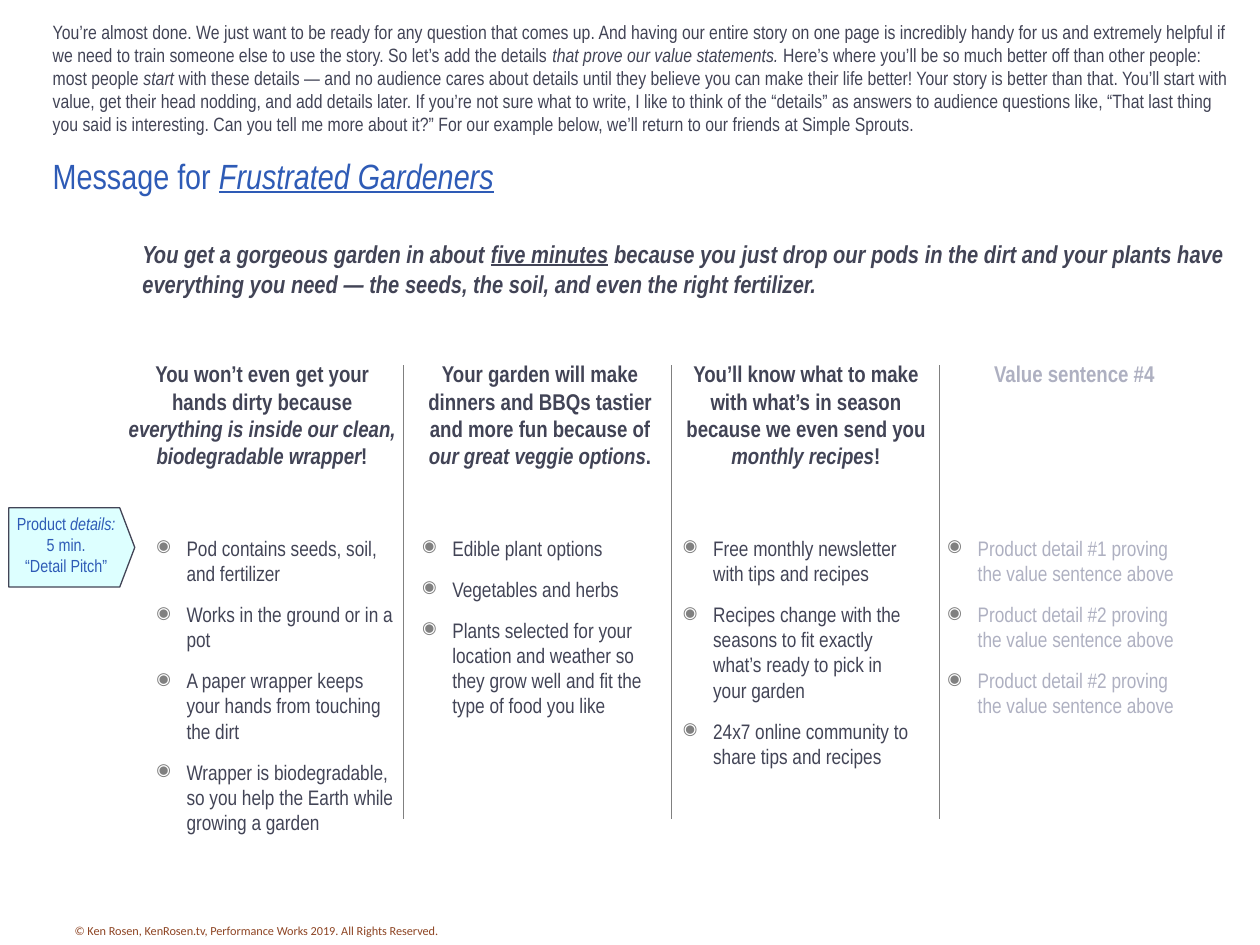
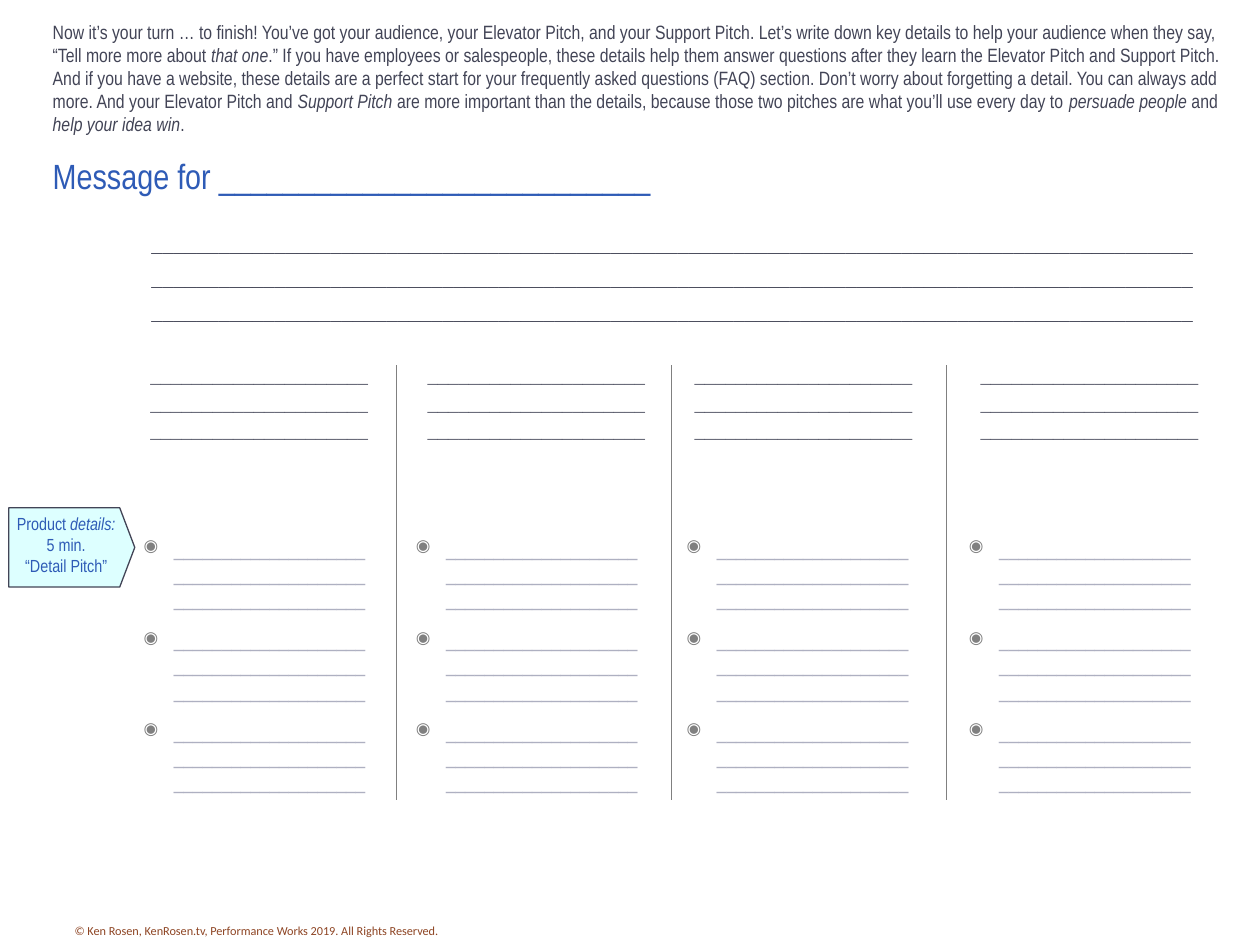
from copy import deepcopy
from dataclasses import dataclass

from lxml import etree
from pptx import Presentation
from pptx.dml.color import RGBColor
from pptx.enum.shapes import MSO_CONNECTOR, MSO_SHAPE
from pptx.enum.text import MSO_ANCHOR, PP_ALIGN
from pptx.oxml.ns import qn
from pptx.util import Inches, Pt

LEFT, CENTER = PP_ALIGN.LEFT, PP_ALIGN.CENTER
TOP, MIDDLE = MSO_ANCHOR.TOP, MSO_ANCHOR.MIDDLE
STRAIGHT, PENTAGON = MSO_CONNECTOR.STRAIGHT, MSO_SHAPE.PENTAGON


@dataclass(frozen=True)
class Theme:
    ink: str = "424456"
    faded: str = "AEB0C1"
    blue: str = "2E5BB6"
    brown: str = "8E4524"
    gray: str = "808080"
    aqua: str = "DDFFFF"
    body: str = "Arial Narrow"
    small: str = "Calibri"
    footer_size: int = 7
    tag_size: int = 10
    intro_size: int = 11
    detail_size: int = 12
    value_size: int = 13
    headline_size: int = 14
    title_size: int = 20


T = Theme()
ITALIC = {"italic": True}
UNDERLINE = {"underline": True}

ROLES = {
    "footer": dict(color=T.brown, font=dict(name=T.small, size=Pt(T.footer_size)),
                   align=CENTER, wrap=False, inset=0.1),
    "title": dict(color=T.blue, font=dict(size=Pt(T.title_size)),
                  emphasis={**ITALIC, **UNDERLINE}, anchor=MIDDLE, inset=0.1),
    "intro": dict(font=dict(size=Pt(T.intro_size)), inset=0.1),
    "headline": dict(font=dict(size=Pt(T.headline_size), bold=True, italic=True), emphasis=UNDERLINE, after=2.8),
    "value": dict(font=dict(size=Pt(T.value_size), bold=True), align=CENTER),
    "details": dict(font=dict(size=Pt(T.detail_size)), before=9, bullet="◉"),
    "tag": dict(color=T.blue, font=dict(size=Pt(T.tag_size)), align=CENTER, wrap=False, inset=0.1),
}

FOOTER = "© Ken Rosen, KenRosen.tv, Performance Works 2019. All Rights Reserved."
TAG = "Product *details:\n*5 min.\n“Detail Pitch”"
BLANK_VALUE = ["_" * 21] * 3
BLANK_DETAILS = ["\n".join(["_" * 20] * 3)] * 3

SLIDES = [
    {
        "title": "Message for *Frustrated Gardeners*",
        "intro": [
            "You’re almost done. We just want to be ready for any question that comes up.",
            "And having our entire story on one page is incredibly handy for us and extremely helpful if",
            "we need to train someone else to use the story.",
            "So let’s add the details *that prove our value statements.*",
            "Here’s where you’ll be so much better off than other people:",
            "most people *start* with these details — and no audience cares about details",
            "until they believe you can make their life better! Your story is better than that.",
            "You’ll start with value, get their head nodding, and add details later.",
            "If you’re not sure what to write, I like to think of the “details” as answers to audience",
            "questions like, “That last thing you said is interesting. Can you tell me more about it?”",
            "For our example below, we’ll return to our friends at Simple Sprouts.",
        ],
        "headline": ["You get a gorgeous garden in about *five minutes* because you just drop our pods in the dirt "
                     "and your plants have everything you need — the seeds, the soil, and even the right fertilizer."],
        "headline_box": (1.04, 1.85, 8.77, 0.57),
        "dividers": {"first": 3.2, "gap": 2.13, "bottom": 6.5},
        "value_boxes": [(0.91, 2.34), (3.21, 2.15), (5.34, 2.11), (7.47, 2.11)],
        "detail_boxes": [(1.15, 2.08), (3.26, 2.03), (5.33, 2.03), (7.43, 2.03)],
        "columns": [
            (["You won’t even get your hands dirty because *everything is inside our clean, biodegradable wrapper*!"],
             ["Pod contains seeds, soil, and fertilizer",
              "Works in the ground or in a pot",
              "A paper wrapper keeps your hands from touching the dirt",
              "Wrapper is biodegradable, so you help the Earth while growing a garden"], T.ink, T.ink),
            (["Your garden will make dinners and BBQs tastier and more fun because of *our great veggie options*."],
             ["Edible plant options",
              "Vegetables and herbs",
              "Plants selected for your location and weather so they grow well and fit the type of food you like"],
             T.ink, T.ink),
            (["You’ll know what to make with what’s in season because we even send you *monthly recipes*!"],
             ["Free monthly newsletter with tips and recipes",
              "Recipes change with the seasons to fit exactly what’s ready to pick in your garden",
              "24x7 online community to share tips and recipes"], T.ink, T.ink),
            (["Value sentence #4"],
             [f"Product detail #{n} proving the value sentence above" for n in (1, 2, 2)], T.faded, T.faded),
        ],
    },
    {
        "title": "Message for " + "_" * 27,
        "intro": [
            "Now it’s your turn … to finish!",
            "You’ve got your audience, your Elevator Pitch, and your Support Pitch.",
            "Let’s write down key details to help your audience when they say,",
            "“Tell more more about *that one*.”",
            "If you have employees or salespeople, these details help them answer questions",
            "after they learn the Elevator Pitch and Support Pitch.",
            "And if you have a website, these details are a perfect start",
            "for your frequently asked questions (FAQ) section.",
            "Don’t worry about forgetting a detail. You can always add more.",
            "And your Elevator Pitch and *Support Pitch *are more important than the details,",
            "because those two pitches are what you’ll use every day",
            "to *persuade people *and *help your idea win*.",
        ],
        "headline": ["_" * 93] * 3,
        "headline_box": (1.12, 1.75, 8.52, 0.9),
        "dividers": {"first": 3.15, "gap": 2.18, "bottom": 6.35},
        "value_boxes": [(0.97, 2.17), (3.09, 2.33), (5.21, 2.33), (7.48, 2.33)],
        "detail_boxes": [(x, 2.08) for x in (1.05, 3.21, 5.36, 7.6)],
        "columns": [(BLANK_VALUE, BLANK_DETAILS, T.ink, T.faded)] * 4,
    },
]


def rgb(value):
    return RGBColor.from_string(value)


def set_all(obj, values):
    for key, value in values.items():
        setattr(obj, key, value)


def add_bullet(p, char):
    pPr = p._p.get_or_add_pPr()
    pPr.set("marL", str(Inches(0.24)))
    pPr.set("indent", str(-Inches(0.24)))
    color = etree.SubElement(pPr, qn("a:buClr"))
    etree.SubElement(color, qn("a:srgbClr"), val=T.gray)
    etree.SubElement(pPr, qn("a:buSzPct"), val="80000")
    etree.SubElement(pPr, qn("a:buChar"), char=char)


def add_runs(p, text, role, color):
    for i, part in enumerate(text.split("*")):
        for j, line in enumerate(part.split("\n")):
            if j:
                p.add_line_break()
                p._p[-1].append(deepcopy(r._r.rPr))
            if line:
                r = p.add_run()
                r.text = line
                set_all(r.font, {"name": T.body, **role["font"]})
                if i % 2:
                    set_all(r.font, role.get("emphasis", ITALIC))
                r.font.color.rgb = rgb(color)


def add_text(s, role_name, box, paragraphs, color=None):
    role = ROLES[role_name]
    tf = s.shapes.add_textbox(*map(Inches, box)).text_frame
    side = Inches(role.get("inset", 0.09))
    set_all(tf, {"word_wrap": role.get("wrap", True), "vertical_anchor": role.get("anchor", TOP),
                 "margin_left": side, "margin_right": side,
                 "margin_top": Inches(0.05), "margin_bottom": Inches(0.05)})
    for i, text in enumerate(paragraphs):
        p = tf.add_paragraph() if i else tf.paragraphs[0]
        set_all(p, {"alignment": role.get("align", LEFT),
                    "space_before": Pt(role.get("before", 0) if i else 0),
                    "space_after": Pt(role.get("after", 0))})
        if "bullet" in role:
            add_bullet(p, role["bullet"])
        add_runs(p, text, role, color or role.get("color", T.ink))


def add_dividers(s, first, gap, bottom):
    for i in range(3):
        x = Inches(first + i * gap)
        line = s.shapes.add_connector(STRAIGHT, x, Inches(2.9), x, Inches(bottom))
        line.line.color.rgb = rgb(T.gray)
        line.line.width = Pt(0.5)
        etree.SubElement(line._element.spPr, qn("a:effectLst"))


def add_tag(s):
    sp = s.shapes.add_shape(PENTAGON, *map(Inches, (0.07, 4.03, 1, 0.63)))
    sp.adjustments[0] = 0.19
    sp.shadow.inherit = False
    sp.fill.solid()
    sp.fill.fore_color.rgb = rgb(T.aqua)
    sp.line.color.rgb = rgb(T.ink)
    sp.line.width = Pt(0.75)
    add_text(s, "tag", (0.03, 4.02, 0.99, 0.61), [TAG])


def build_slide(prs, page):
    s = prs.slides.add_slide(prs.slide_layouts[6])
    add_text(s, "footer", (0.44, 7.28, 3.19, 0.22), [FOOTER])
    add_text(s, "title", (0.32, 1.03, 9.36, 0.73), [page["title"]])
    add_text(s, "intro", (0.32, 0.11, 9.56, 1.02), [" ".join(page["intro"])])
    add_text(s, "headline", page["headline_box"], page["headline"])
    add_dividers(s, **page["dividers"])
    for column, (vx, vw), (dx, dw) in zip(page["columns"], page["value_boxes"], page["detail_boxes"]):
        value, details, value_color, detail_color = column
        add_text(s, "value", (vx, 2.81, vw, 0.97), value, value_color)
        add_text(s, "details", (dx, 4.2, dw, 2.17), details, detail_color)
    add_tag(s)


def main():
    prs = Presentation()
    prs.slide_width, prs.slide_height = Inches(10), Inches(7.5)
    for page in SLIDES:
        build_slide(prs, page)
    prs.save("out.pptx")


if __name__ == "__main__":
    main()
